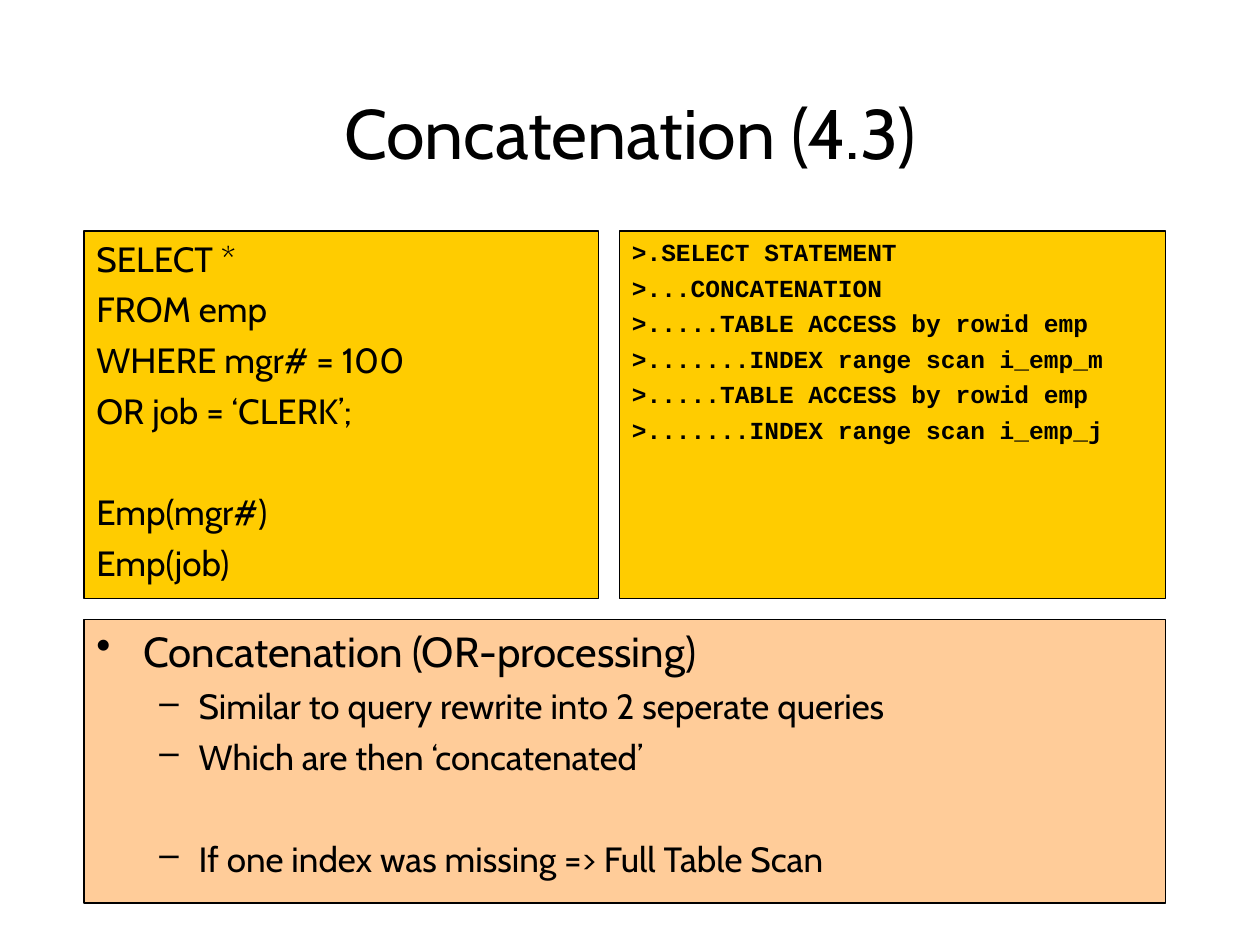
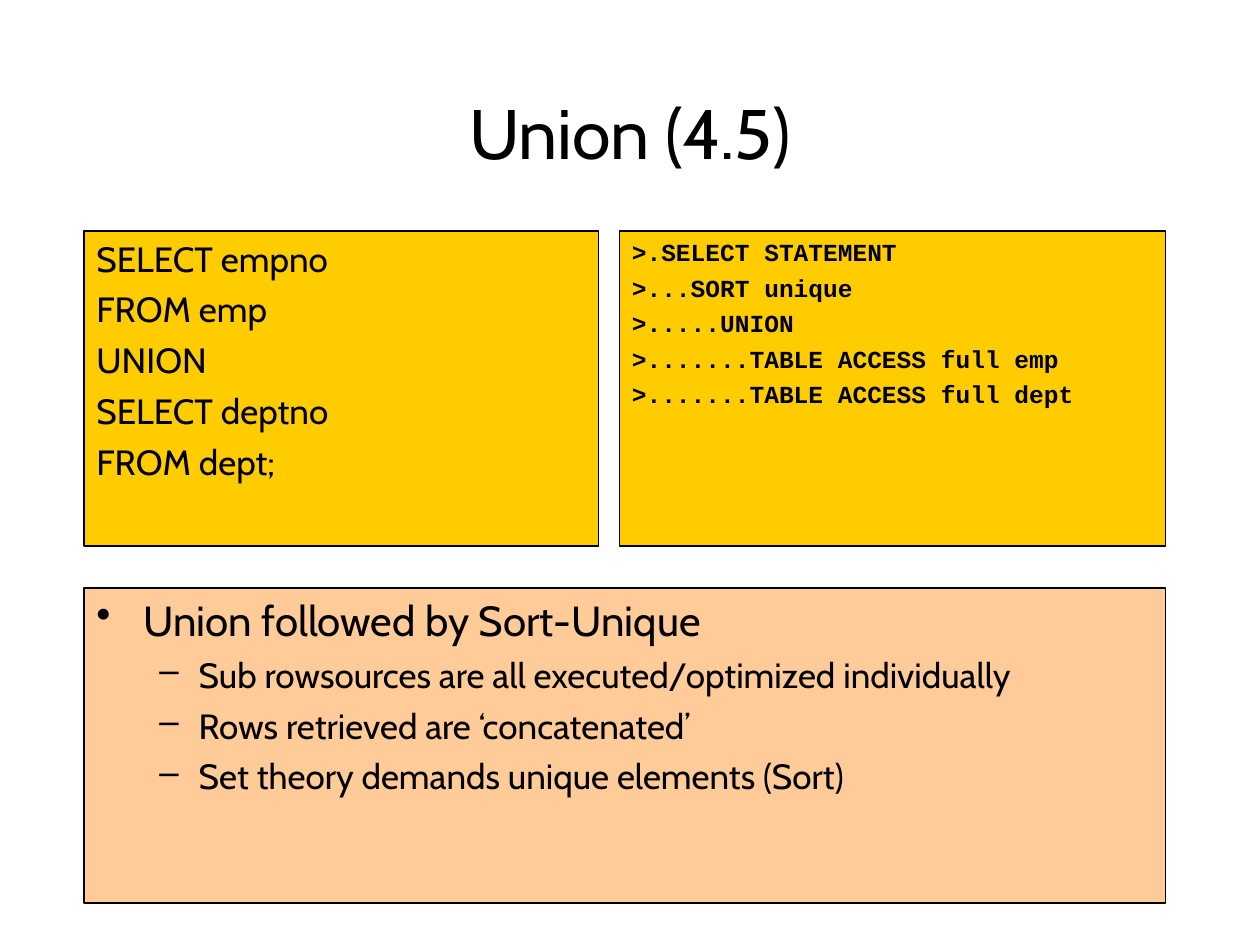
"""Build two slides on SQL execution plans: concatenation and union."""
from lxml.etree import SubElement
from pptx import Presentation
from pptx.dml.color import RGBColor as RGB
from pptx.enum.shapes import MSO_SHAPE as SHAPE
from pptx.enum.text import MSO_ANCHOR as ANCHOR, PP_ALIGN as ALIGN
from pptx.oxml.ns import qn
from pptx.util import Pt

PX = 9525
COLORS = {"ink": "000000", "code": "FFCC00", "notes": "FFCC99"}
LEFT, TOP, WIDTH, BOTTOM, GAP = 64, 176, 824, 688, 16
QUERY_W = 392
BLANK_LINE = 29

STYLES = {
    "title": {"font": {"size": Pt(40), "name": "Cabin"}, "before": 0, "indent": (0, 0)},
    "query": {"font": {"size": Pt(20), "name": "Cabin"}, "before": 5, "indent": (36, -36)},
    "plan": {"font": {"size": Pt(14), "name": "Courier New", "bold": True},
             "before": 3.5, "indent": (36, -36)},
    "point": {"font": {"size": Pt(24), "name": "Cabin"}, "before": 6,
              "indent": (36, -36), "bullet": "•"},
    "detail": {"font": {"size": Pt(20), "name": "Cabin"}, "before": 5,
               "indent": (78, -30), "bullet": "–", "level": 1},
}

SLIDES = [
    {"title": "Concatenation (4.3)", "code_h": 280, "notes_top": 472,
     "query": ["SELECT *", "FROM emp", "WHERE mgr# = 100", "OR job = ‘CLERK’;",
               None, "Emp(mgr#)", "Emp(job)"],
     "plan": [">.SELECT STATEMENT", ">...CONCATENATION",
              ">.....TABLE ACCESS by rowid emp", ">.......INDEX range scan i_emp_m",
              ">.....TABLE ACCESS by rowid emp", ">.......INDEX range scan i_emp_j"],
     "point": "Concatenation (OR-processing)",
     "details": ["Similar to query rewrite into 2 seperate queries",
                 "Which are then ‘concatenated’", None,
                 "If one index was missing => Full Table Scan"]},
    {"title": "Union (4.5)", "code_h": 240, "notes_top": 448,
     "query": ["SELECT empno", "FROM emp", "UNION", "SELECT deptno", "FROM dept;"],
     "plan": [">.SELECT STATEMENT", ">...SORT unique", ">.....UNION",
              ">.......TABLE ACCESS full emp", ">.......TABLE ACCESS full dept"],
     "point": "Union followed by Sort-Unique",
     "details": ["Sub rowsources are all executed/optimized individually",
                 "Rows retrieved are ‘concatenated’",
                 "Set theory demands unique elements (Sort)"]},
]


class Deck:
    """Hold the shared style and the current slide."""

    def __init__(self):
        """Open an empty 960 by 720 px presentation."""
        self.prs = Presentation()
        self.prs.slide_width, self.prs.slide_height = 960 * PX, 720 * PX
        self.s = None

    def new_slide(self):
        """Start a slide on the blank layout."""
        self.s = self.prs.slides.add_slide(self.prs.slide_layouts[6])

    def text(self, tf, lines, align=ALIGN.LEFT, anchor=ANCHOR.TOP):
        """Write (style, text) lines; a text of None leaves a line's gap."""
        tf.word_wrap, tf.vertical_anchor = True, anchor
        gap, first = 0, True
        for name, words in lines:
            if words is None:
                gap = BLANK_LINE
                continue
            style = STYLES[name]
            p = tf.paragraphs[0] if first else tf.add_paragraph()
            p.alignment, p.level = align, style.get("level", 0)
            p.space_before = Pt(0 if first else style["before"] + gap)
            pPr = p._p.get_or_add_pPr()
            for key, px in zip(("marL", "indent"), style["indent"]):
                pPr.set(key, str(px * PX))
            if "bullet" in style:
                SubElement(pPr, qn("a:buChar")).set("char", style["bullet"])
            r = p.add_run()
            r.text = words
            for key, value in style["font"].items():
                setattr(r.font, key, value)
            r.font.color.rgb = RGB.from_string(COLORS["ink"])
            gap, first = 0, False

    def title(self, words):
        """Add the centred slide title."""
        sp = self.s.shapes.add_textbox(72 * PX, 64 * PX, 816 * PX, 72 * PX)
        self.text(sp.text_frame, [("title", words)], ALIGN.CENTER, ANCHOR.MIDDLE)

    def panel(self, x, y, w, h, fill, lines):
        """Add a filled, outlined rectangle with text."""
        sp = self.s.shapes.add_shape(SHAPE.RECTANGLE, x * PX, y * PX, w * PX, h * PX)
        sp.shadow.inherit = False
        sp.fill.solid()
        sp.fill.fore_color.rgb = RGB.from_string(COLORS[fill])
        sp.line.color.rgb = RGB.from_string(COLORS["ink"])
        sp.line.width = Pt(0.75)
        self.text(sp.text_frame, lines)


def main():
    """Build and save the deck."""
    deck = Deck()
    plan_x = LEFT + QUERY_W + GAP
    for data in SLIDES:
        deck.new_slide()
        deck.title(data["title"])
        notes = [("point", data["point"])] + [("detail", d) for d in data["details"]]
        y = data["notes_top"]
        deck.panel(LEFT, y, WIDTH, BOTTOM - y, "notes", notes)
        for name, x, w in (("plan", plan_x, LEFT + WIDTH - plan_x),
                           ("query", LEFT, QUERY_W)):
            lines = [(name, line) for line in data[name]]
            deck.panel(x, TOP, w, data["code_h"], "code", lines)
    deck.prs.save("out.pptx")


if __name__ == "__main__":
    main()
